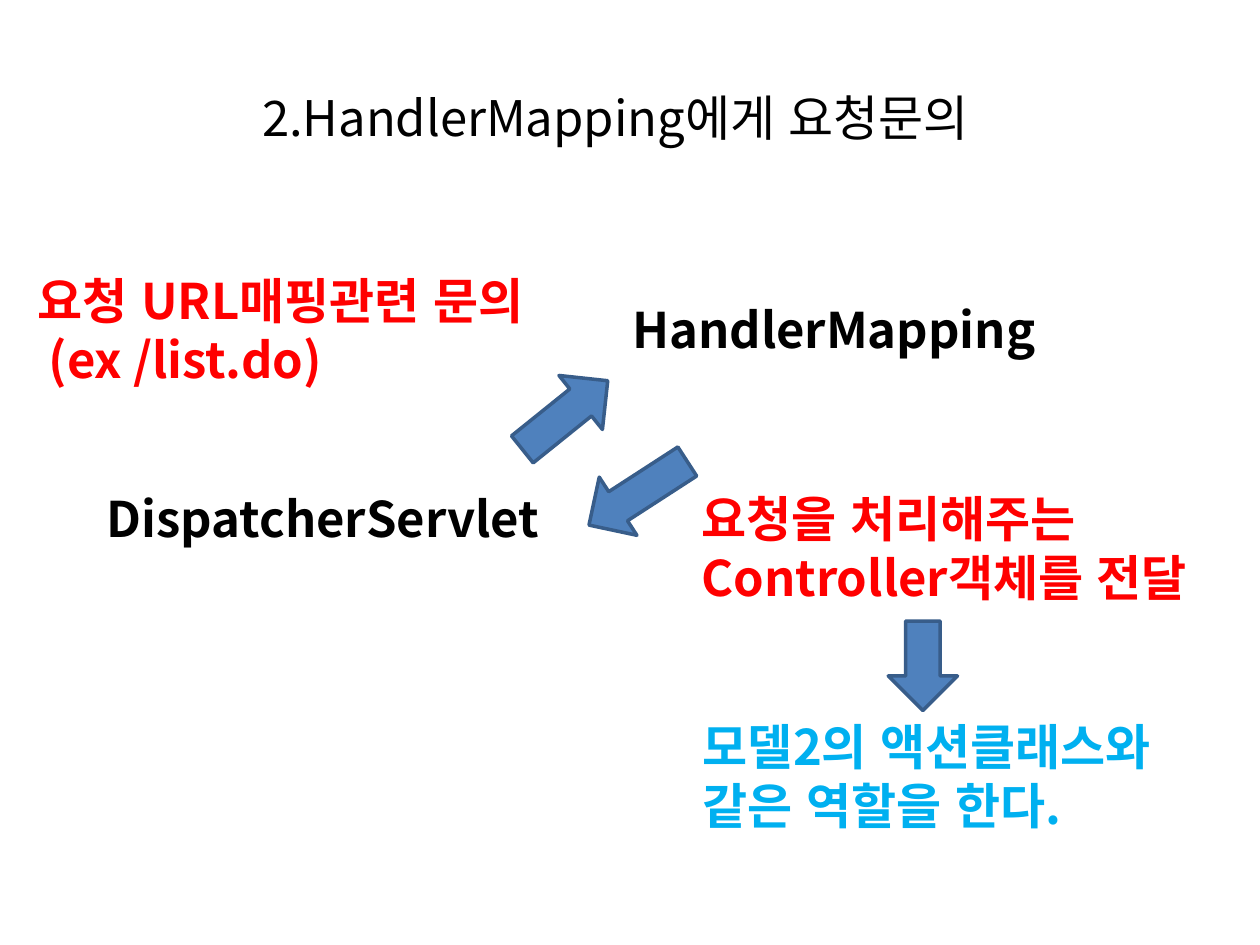
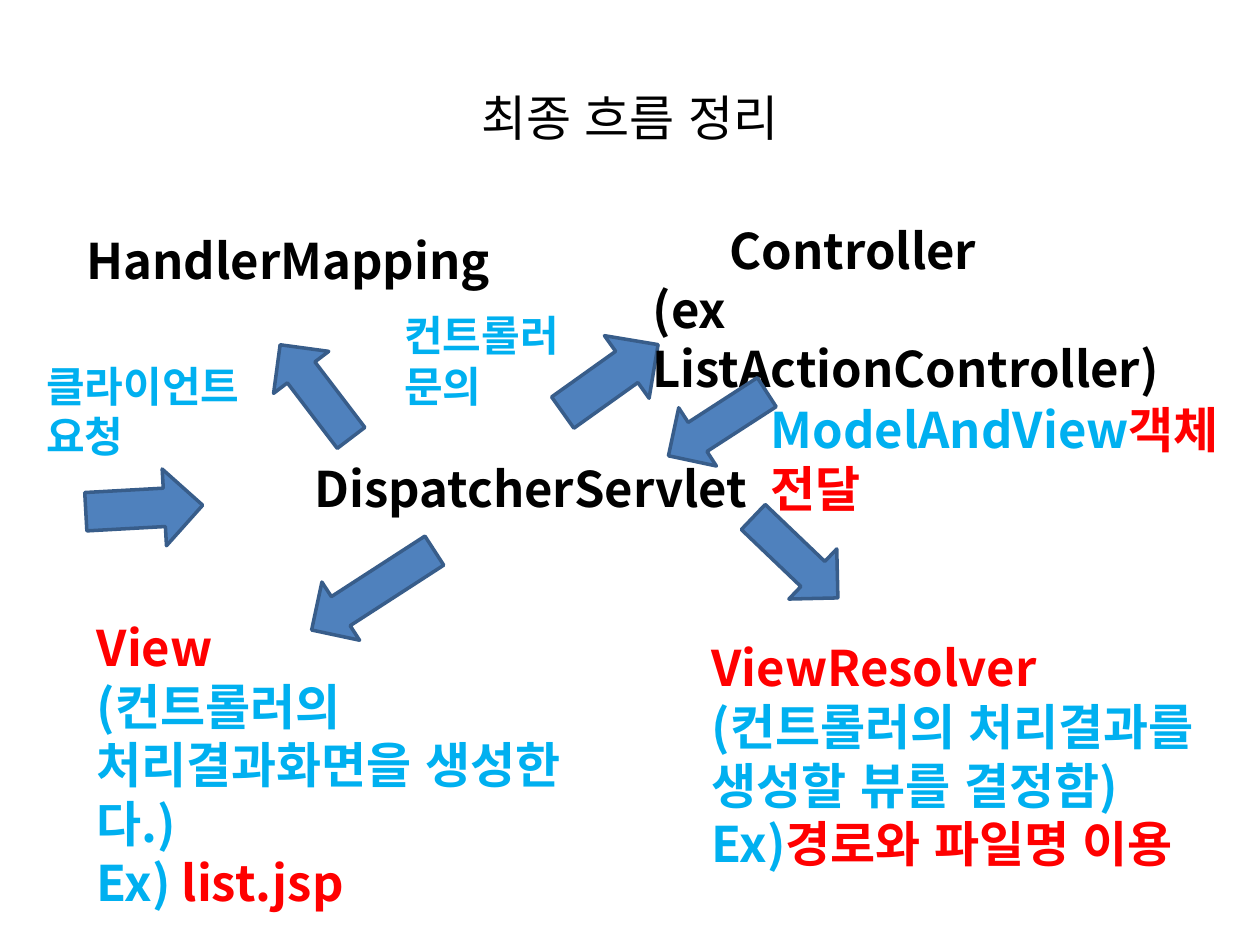
from pptx import Presentation
from pptx.dml.color import RGBColor
from pptx.enum.shapes import MSO_SHAPE
from pptx.enum.text import MSO_ANCHOR, PP_ALIGN
from pptx.oxml.ns import qn
from pptx.util import Pt
from lxml.etree import SubElement

BLACK = RGBColor(0, 0, 0)
RED = RGBColor(255, 0, 0)
SKY = RGBColor(0, 176, 240)
BLUE = RGBColor(79, 129, 189)
NAVY = RGBColor(56, 93, 138)
FONT = "Noto Sans CJK KR"
PAGE = (0, 0, 720, 540)
FLAT = (66.9, 39.6)
WIDE = (66.9, 43.9)


def apply(item, values):
    for name, value in values.items():
        setattr(item, name, value)


def place(box, left, top, width, height):
    return Pt(box[0] + left), Pt(box[1] + top), Pt(width), Pt(height)


def write(line, text, color, size, bold):
    run = line.add_run()
    run.text = text
    apply(run.font, {"name": FONT, "size": Pt(size), "bold": bold})
    run.font.color.rgb = color
    props = run._r.get_or_add_rPr()
    props.set("lang", "ko-KR")
    SubElement(props, qn("a:ea"), typeface=FONT)


def label(slide, box, spot, lines, size=28, bold=True, indents=(),
          align=PP_ALIGN.LEFT, anchor=MSO_ANCHOR.TOP):
    frame = slide.shapes.add_textbox(*place(box, *spot)).text_frame
    apply(frame, {"word_wrap": True, "vertical_anchor": anchor})
    for index, parts in enumerate(lines):
        line = frame.add_paragraph() if index else frame.paragraphs[0]
        line.alignment = align
        if index < len(indents):
            line._p.get_or_add_pPr().set("indent", str(Pt(indents[index])))
        for text, color in parts:
            write(line, text, color, size, bold)


def title(slide, box, spot, text):
    label(slide, box, spot, [[(text, BLACK)]], bold=False,
          align=PP_ALIGN.CENTER, anchor=MSO_ANCHOR.MIDDLE)


def arrow(slide, box, left, top, turn, size=FLAT):
    shape = slide.shapes.add_shape(MSO_SHAPE.RIGHT_ARROW, *place(box, left, top, *size))
    shape.rotation = turn
    shape.shadow.inherit = False
    shape.fill.solid()
    shape.fill.fore_color.rgb = BLUE
    shape.line.color.rgb = NAVY
    shape.line.width = Pt(2)


def node(slide, box, left, top, name):
    label(slide, box, (left, top, 266.4, 41), [[(name, BLACK)]])


def query(slide, box):
    title(slide, box, (19.4, 21.6, 664.6, 90), "2.HandlerMapping에게 요청문의")
    node(slide, box, 54, 275.8, "DispatcherServlet")
    node(slide, box, 354.2, 167.8, "HandlerMapping")
    arrow(slide, box, 291.6, 217.4, 321.2, (62.6, 39.6))
    arrow(slide, box, 331.2, 262.1, 147.1)
    label(slide, box, (393.8, 275.8, 306, 74.9),
          [[("요청을 처리해주는", RED)], [("Controller객체를 전달", RED)]])
    label(slide, box, (14.4, 151.2, 311.8, 74.9),
          [[("요청 URL매핑관련 문의", RED)], [("(ex /list.do)", RED)]], indents=(0, 6.3))
    label(slide, box, (394.6, 406.1, 306, 74.9),
          [[("모델2의 액션클래스와 같은 역할을 한다.", SKY)]])
    arrow(slide, box, 501.8, 360.7, 90, (51.1, 39.6))


def flow(slide, box):
    title(slide, box, (36, 21.6, 648, 90), "최종 흐름 정리")
    node(slide, box, 172.8, 258.5, "DispatcherServlet")
    node(slide, box, 42.5, 128.2, "HandlerMapping")
    arrow(slide, box, 315.4, 194.4, 324.5, WIDE)
    arrow(slide, box, 146.9, 203.8, 232.7)
    label(slide, box, (365.8, 122.4, 334.8, 108),
          [[("Controller", BLACK)], [("(ex ListActionController)", BLACK)]], indents=(44,))
    arrow(slide, box, 376.6, 222.5, 147.1)
    label(slide, box, (433.4, 224.6, 286.6, 74.9),
          [[("ModelAndView", SKY), ("객체", RED)], [("전달", RED)]])
    arrow(slide, box, 171.4, 317.5, 147.1, (83.5, 39.6))
    label(slide, box, (399.6, 360.7, 306, 141.8),
          [[("ViewResolver", RED)],
           [("(컨트롤러의 처리결과를 생성할 뷰를 결정함)", SKY)],
           [("Ex)", SKY), ("경로와 파일명 이용", RED)]])
    arrow(slide, box, 421.2, 298.8, 43.7)
    label(slide, box, (48.2, 349.2, 306, 175.7),
          [[("View", RED)],
           [("(컨트롤러의 처리결과화면을 생성한다.)", SKY)],
           [("Ex) ", SKY), ("list.jsp", RED)]])
    label(slide, box, (19.4, 202.3, 153.4, 64.8), [[("클라이언트 요청", SKY)]], size=24)
    label(slide, box, (223.9, 173.5, 124.6, 64.8),
          [[("컨트롤러", SKY)], [("문의", SKY)]], size=24)
    arrow(slide, box, 49, 268.6, 356.8, WIDE)


def main():
    deck = Presentation()
    apply(deck, {"slide_width": Pt(PAGE[2]), "slide_height": Pt(PAGE[3])})
    for build in (query, flow):
        build(deck.slides.add_slide(deck.slide_layouts[6]), PAGE)
    deck.save("out.pptx")


if __name__ == "__main__":
    main()
